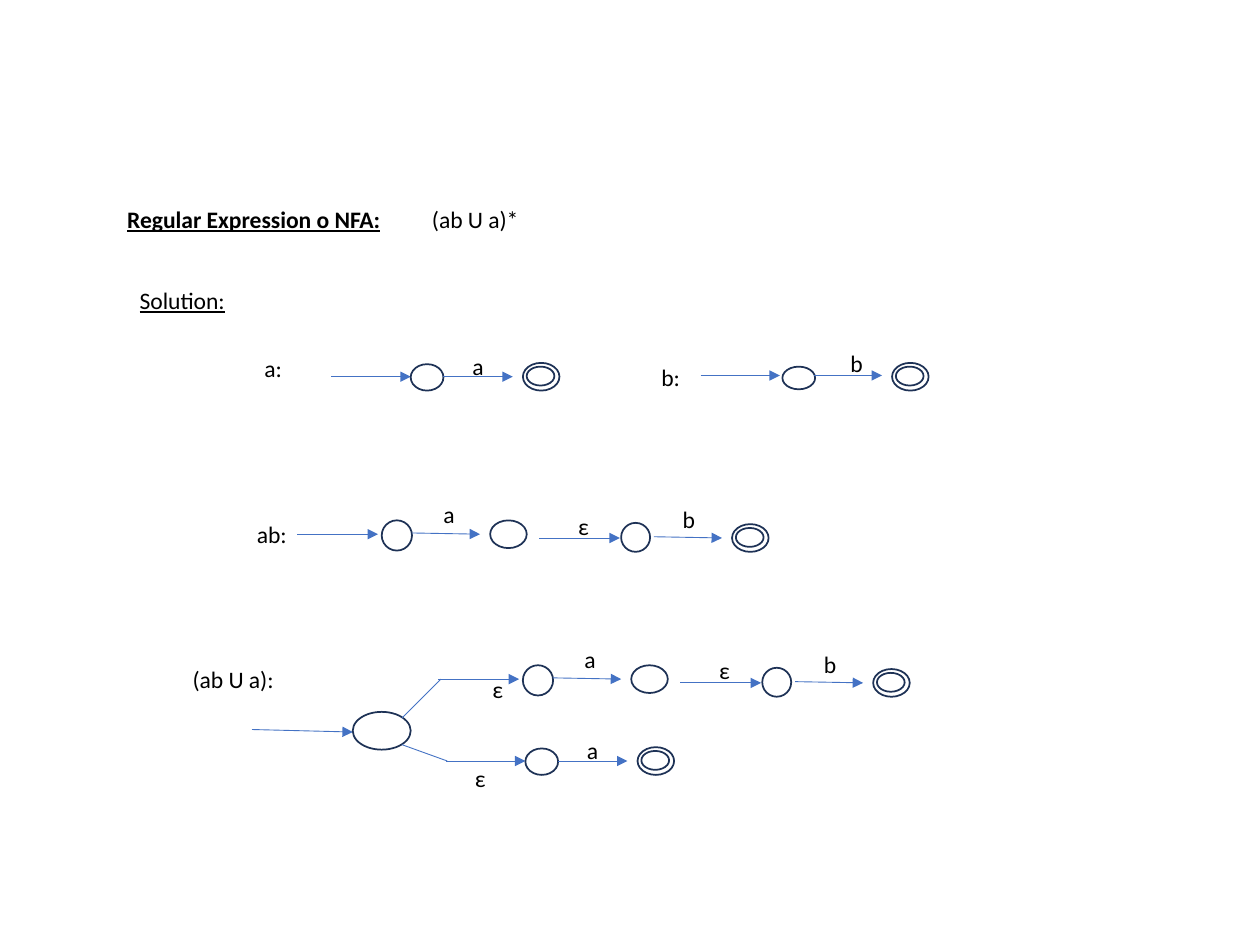
import pptx
import pptx.dml.color
import pptx.enum.dml
import pptx.enum.shapes
import pptx.enum.text
import pptx.oxml.ns
import pptx.util
from lxml import etree

Inches = pptx.util.Inches
BLACK = pptx.dml.color.RGBColor(0x00, 0x00, 0x00)
NAVY = pptx.dml.color.RGBColor(0x1E, 0x32, 0x56)
BLUE = pptx.dml.color.RGBColor(0x44, 0x72, 0xC4)


def write_text(frame, text, font="Calibri", size=13.5, color=BLACK, bold=False, underline=False):
    frame.word_wrap = False
    frame.auto_size = pptx.enum.text.MSO_AUTO_SIZE.SHAPE_TO_FIT_TEXT
    frame.vertical_anchor = pptx.enum.text.MSO_ANCHOR.TOP
    frame.margin_left = frame.margin_right = Inches(0.1)
    frame.margin_top = frame.margin_bottom = Inches(0.05)
    paragraph = frame.paragraphs[0]
    paragraph.alignment = pptx.enum.text.PP_ALIGN.LEFT
    run = paragraph.add_run()
    run.text = text
    run.font.name = font
    run.font.size = pptx.util.Pt(size)
    run.font.color.rgb = color
    run.font.bold = bold
    run.font.underline = underline


class AutomatonSlide:
    outline = pptx.util.Pt(1)
    stroke = pptx.util.Pt(0.5)

    def __init__(self, slide):
        self.slide = slide

    def title(self, text, left, top, width, height=0.33):
        heading = self.slide.shapes.title
        heading.left, heading.top = Inches(left), Inches(top)
        heading.width, heading.height = Inches(width), Inches(height)
        write_text(heading.text_frame, text, bold=True, underline=True)

    def label(self, text, left, top, width=0.29, height=0.33, **style):
        box = self.slide.shapes.add_textbox(
            Inches(left), Inches(top), Inches(width), Inches(height))
        write_text(box.text_frame, text, **style)

    def state(self, left, top, width, height):
        oval = self.slide.shapes.add_shape(
            pptx.enum.shapes.MSO_SHAPE.OVAL,
            Inches(left), Inches(top), Inches(width), Inches(height))
        oval.shadow.inherit = False
        oval.fill.background()
        oval.line.color.rgb = NAVY
        oval.line.width = self.outline

    def accepting_state(self, left, top):
        self.state(left + 0.03, top + 0.03, 0.22, 0.15)
        self.state(left, top, 0.29, 0.22)

    def transition(self, x1, y1, x2, y2, arrow=True):
        edge = self.slide.shapes.add_connector(
            pptx.enum.shapes.MSO_CONNECTOR.STRAIGHT,
            Inches(x1), Inches(y1), Inches(x2), Inches(y2))
        edge.line.color.rgb = BLUE
        edge.line.width = self.stroke
        if arrow:
            etree.SubElement(edge.line._get_or_add_ln(),
                             pptx.oxml.ns.qn("a:tailEnd"), type="triangle")
        etree.SubElement(edge._element.spPr, pptx.oxml.ns.qn("a:effectLst"))

    def a_automaton(self, x, y):
        self.transition(x, y, x + 0.63, y)
        self.state(x + 0.63, y - 0.1, 0.26, 0.21)
        self.transition(x + 0.89, y, x + 1.44, y)
        self.accepting_state(x + 1.52, y - 0.11)
        self.label("a", x + 1.02, y - 0.25)

    def ab_automaton(self, x, y):
        self.transition(x, y, x + 0.64, y)
        self.state(x + 0.67, y - 0.11, 0.24, 0.24)
        self.transition(x + 0.91, y - 0.01, x + 1.45, y)
        self.state(x + 1.53, y - 0.11, 0.29, 0.22)
        self.transition(x + 1.92, y + 0.03, x + 2.56, y + 0.03)
        self.state(x + 2.57, y - 0.09, 0.23, 0.23)
        self.transition(x + 2.83, y + 0.02, x + 3.37, y + 0.03)
        self.accepting_state(x + 3.45, y - 0.08)
        self.label("a", x + 1.06, y - 0.32)
        self.label("ε", x + 2.13, y - 0.23)
        self.label("b", x + 2.96, y - 0.28, 0.3)


def main():
    deck = pptx.Presentation()
    deck.slide_width, deck.slide_height = Inches(10), Inches(7.5)
    nfa = AutomatonSlide(deck.slides.add_slide(deck.slide_layouts[5]))

    nfa.title("Regular Expression o NFA:", 0.91, 1.58, 2.24)
    nfa.label("(ab U a)*", 3.33, 1.58, 0.9)
    nfa.label("Solution:", 1.01, 2.22, 0.89, underline=True)

    nfa.label("a:", 2, 2.76, 0.34)
    nfa.a_automaton(2.63, 2.99)

    nfa.label("b:", 5.15, 2.83, 0.44)
    nfa.transition(5.56, 2.98, 6.19, 2.98)
    nfa.state(6.21, 2.91, 0.26, 0.18)
    nfa.transition(6.46, 2.98, 7, 2.98)
    nfa.accepting_state(7.08, 2.88)
    nfa.label("b", 6.65, 2.72, 0.3)

    nfa.label("ab:", 1.94, 4.08, 0.44)
    nfa.ab_automaton(2.36, 4.24)

    nfa.label("(ab U a):", 1.43, 5.23, 0.86)
    nfa.transition(2, 5.79, 2.8, 5.81)
    nfa.state(2.8, 5.65, 0.46, 0.3)
    nfa.transition(3.19, 5.7, 3.5, 5.39, arrow=False)
    nfa.transition(3.19, 5.91, 3.55, 6.04, arrow=False)
    nfa.ab_automaton(3.48, 5.39)
    nfa.a_automaton(3.54, 6.04)
    nfa.label("ε", 3.81, 5.31)
    nfa.label("ε", 3.67, 6.01, height=0.56)

    deck.save("out.pptx")


if __name__ == "__main__":
    main()
